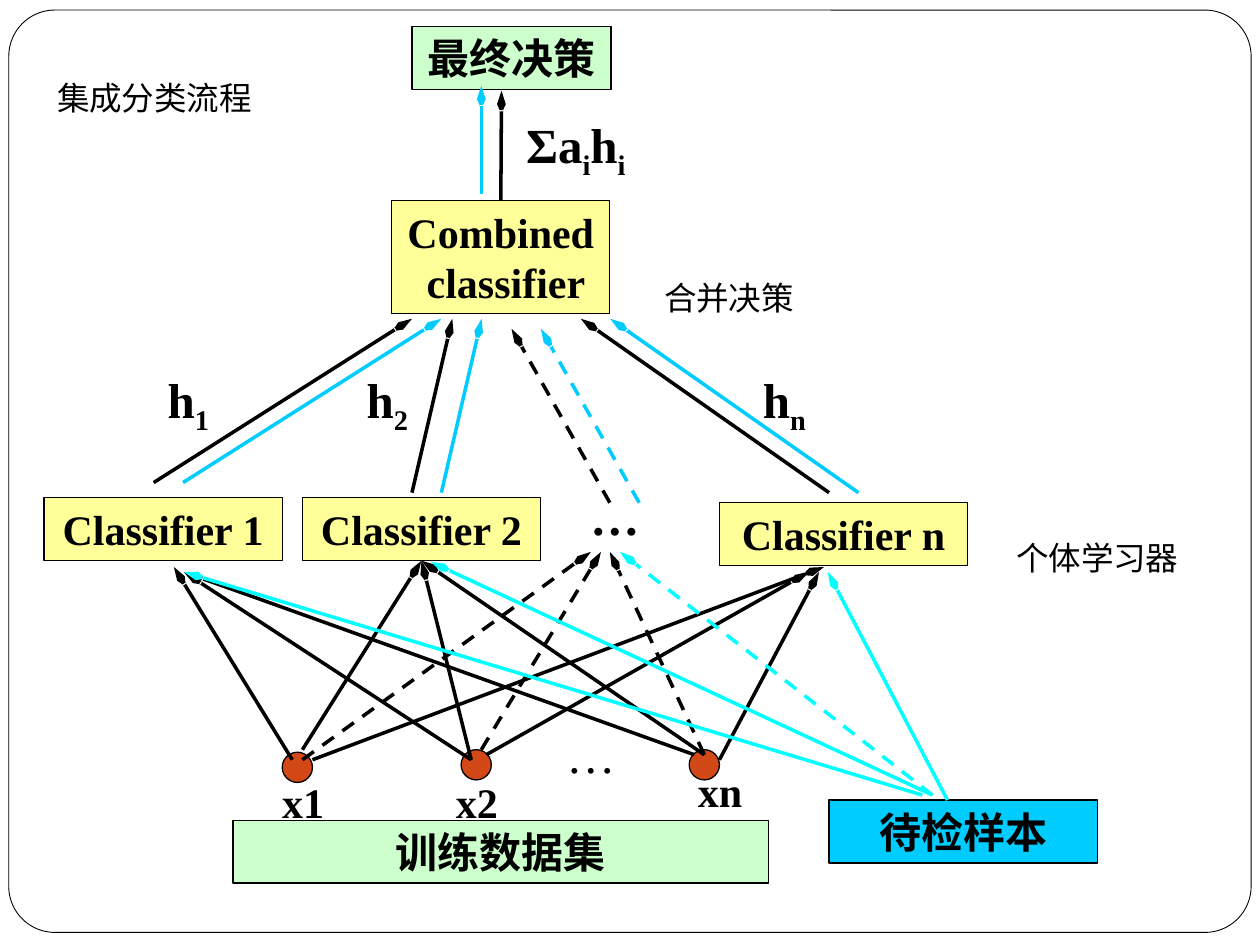
from dataclasses import dataclass

from lxml.etree import SubElement
from pptx import Presentation
from pptx.dml.color import RGBColor
from pptx.enum.dml import MSO_LINE_DASH_STYLE as Dash
from pptx.enum.shapes import MSO_CONNECTOR as Connector, MSO_SHAPE as Shape
from pptx.enum.text import MSO_ANCHOR as Anchor, PP_ALIGN as Align
from pptx.oxml.ns import qn
from pptx.util import Inches, Pt

COLUMNS, ROWS = 100, 75
BLACK, WHITE, SKY, CYAN = "000000", "FFFFFF", "00CCFF", "00FFFF"
YELLOW, GREEN, RUST = "FFFF99", "CCFFCC", "D34817"
TOP, BOTTOM = 0, 2
SUBSCRIPT = "-25000"

presentation = Presentation()
presentation.slide_width, presentation.slide_height = Inches(10), Inches(7.5)
slide = presentation.slides.add_slide(presentation.slide_layouts[6])
CELL_WIDTH = presentation.slide_width / COLUMNS
CELL_HEIGHT = presentation.slide_height / ROWS


@dataclass
class Box:
    text: str
    column: float
    row: float
    columns: float
    rows: float = 5
    fill: str = YELLOW
    kind: Shape = Shape.RECTANGLE
    line_width: float = 0.75


@dataclass
class Label:
    wording: list[tuple[str, bool]]
    column: float
    row: float
    columns: float
    rows: float
    size: float = 28
    bold: bool = True


@dataclass
class Arrow:
    start: tuple[float, float]
    end: tuple[float, float]
    color: str = BLACK
    dashed: bool = False
    begin_box: str = ""
    end_box: str = ""


def color_of(value: str) -> RGBColor:
    return RGBColor.from_string(value)


def place(*cells: float) -> list[int]:
    return [round(cell * (CELL_HEIGHT if index % 2 else CELL_WIDTH))
            for index, cell in enumerate(cells)]


def apply(target, values: dict) -> None:
    for name, value in values.items():
        setattr(target, name, value)


def write(shape, wording: list[tuple[str, bool]], size: float, bold: bool) -> None:
    apply(shape.text_frame, {"word_wrap": True, "vertical_anchor": Anchor.TOP})
    paragraph = shape.text_frame.paragraphs[0]
    paragraph.alignment = Align.CENTER
    for text, lowered in wording:
        for index, line in enumerate(text.split("\v")):
            if index:
                paragraph.add_line_break()
            run = paragraph.add_run()
            run.text = line
            apply(run.font, {"name": "Times New Roman", "size": Pt(size), "bold": bold})
            run.font.color.rgb = color_of(BLACK)
            if lowered:
                run._r.get_or_add_rPr().set("baseline", SUBSCRIPT)


def draw_box(box: Box):
    shape = slide.shapes.add_shape(
        box.kind, *place(box.column, box.row, box.columns, box.rows))
    shape.shadow.inherit = False
    shape.fill.solid()
    shape.fill.fore_color.rgb = color_of(box.fill)
    shape.line.color.rgb = color_of(BLACK)
    shape.line.width = Pt(box.line_width)
    if box.text:
        write(shape, [(box.text, False)], 24, True)
    return shape


def draw_label(label: Label) -> None:
    shape = slide.shapes.add_textbox(
        *place(label.column, label.row, label.columns, label.rows))
    write(shape, label.wording, label.size, label.bold)


def draw_arrow(arrow: Arrow, boxes: dict) -> None:
    connector = slide.shapes.add_connector(
        Connector.STRAIGHT, *place(*arrow.start, *arrow.end))
    if arrow.begin_box:
        connector.begin_connect(boxes[arrow.begin_box], TOP)
    if arrow.end_box:
        connector.end_connect(boxes[arrow.end_box], BOTTOM)
    connector.line.color.rgb = color_of(arrow.color)
    connector.line.width = Pt(2)
    if arrow.dashed:
        connector.line.dash_style = Dash.DASH
    SubElement(connector.line._get_or_add_ln(), qn("a:tailEnd"),
               type="arrow", w="sm", len="lg")
    SubElement(connector._element.spPr, qn("a:effectLst"))


frame = draw_box(Box("", 0.7, 0.8, 98.6, 73.2, WHITE, Shape.ROUNDED_RECTANGLE, 0.5))
frame.adjustments[0] = 0.05

BOXES = [
    Box("Classifier 1", 3.5, 39.5, 18.9),
    Box("训练数据集", 18.5, 65.1, 42.5, fill=GREEN),
    Box("Classifier 2", 24, 39.5, 18.9),
    Box("Combined\v classifier", 31.1, 15.9, 17.3, 9),
    Box("Classifier n", 57.1, 39.9, 19.7),
    Box("最终决策", 32.7, 2.1, 15.8, fill=GREEN),
    Box("待检样本", 65.8, 63.5, 21.3, fill=SKY),
]
boxes = {box.text: draw_box(box) for box in BOXES}

for column, row in [(22.4, 59.7), (36.6, 59.5), (54.7, 59.5)]:
    draw_box(Box("", column, row, 2.4, 2.4, RUST, Shape.OVAL))

labels = [
    Label([("…", False)], 42.1, 38.1, 13.4, 5.7),
    Label([("…", False)], 41.4, 57, 11, 5.7, bold=False),
    Label([("Σa", False), ("i", True), ("h", False), ("i", True)], 39, 8.6, 13.4, 6.3),
]
labels += [Label([("h", False), (index, True)], column, 28.8, 7.1, 6.3)
           for index, column in [("1", 11.4), ("2", 27.2), ("n", 58.7)]]
labels += [Label([(text, False)], column, row, columns, 5, 24)
           for text, column, row, columns in [
               ("x1", 20.1, 61.1, 7.9), ("x2", 34.3, 61.1, 7.1), ("xn", 53.2, 60.3, 7.9)]]
labels += [Label([(text, True)], column, row, columns, 7.1, 32, False)
           for text, column, row, columns in [
               ("个体学习器", 77.5, 39.2, 19.2), ("合并决策", 50, 18.6, 15.7),
               ("集成分类流程", 2, 2.7, 20.5)]]
for label in labels:
    draw_label(label)

VOTES = [((65.8, 39.1), (46.1, 25.3)), ((32.7, 39.1), (35.9, 25.3)),
         ((12.2, 38.3), (32.7, 25.3)), ((48.4, 39.9), (40.6, 26.1))]
arrows = [Arrow((start[0] + shift, start[1]), (end[0] + shift, end[1]), color,
                dashed=start == VOTES[-1][0])
          for shift, color in [(0, BLACK), (2.33, SKY)] for start, end in VOTES]
arrows += [Arrow((39.8, 15.9), (39.8, 7.2), begin_box="Combined\v classifier"),
           Arrow((38.2, 15.4), (38.2, 6.8), SKY)]

FANS = [
    (BLACK, [((23.2, 60.3), (13.8, 45)), ((24, 59.5), (33.5, 44.6)),
             ((24.8, 60.3), (65.4, 45)), ((24, 60.3), (46.9, 43.8))]),
    (BLACK, [((37.4, 60.3), (14.6, 45.4)), ((37.4, 60.3), (33.5, 44.6)),
             ((38.6, 59.9), (64.2, 45.4)), ((38.2, 59.5), (47.7, 43.8))]),
    (BLACK, [((55.1, 59.9), (14.6, 45.4)), ((55.9, 59.9), (33.5, 44.6)),
             ((57.1, 60.3), (65, 45.4)), ((55.9, 59.9), (48.4, 43.8))]),
    (CYAN, [((73.2, 63.1), (14.6, 45.4)), ((74, 63.1), (34.2, 44.6)),
            ((75.2, 63.5), (65.7, 45.4)), ((74, 63.1), (49.2, 43.8))]),
]
for color, rays in FANS:
    for index, (start, end) in enumerate(rays):
        joined = "Classifier 2" if index == 1 and color == BLACK else ""
        arrows.append(Arrow(start, end, color, index == 3, end_box=joined))
for arrow in arrows:
    draw_arrow(arrow, boxes)

presentation.save("out.pptx")
